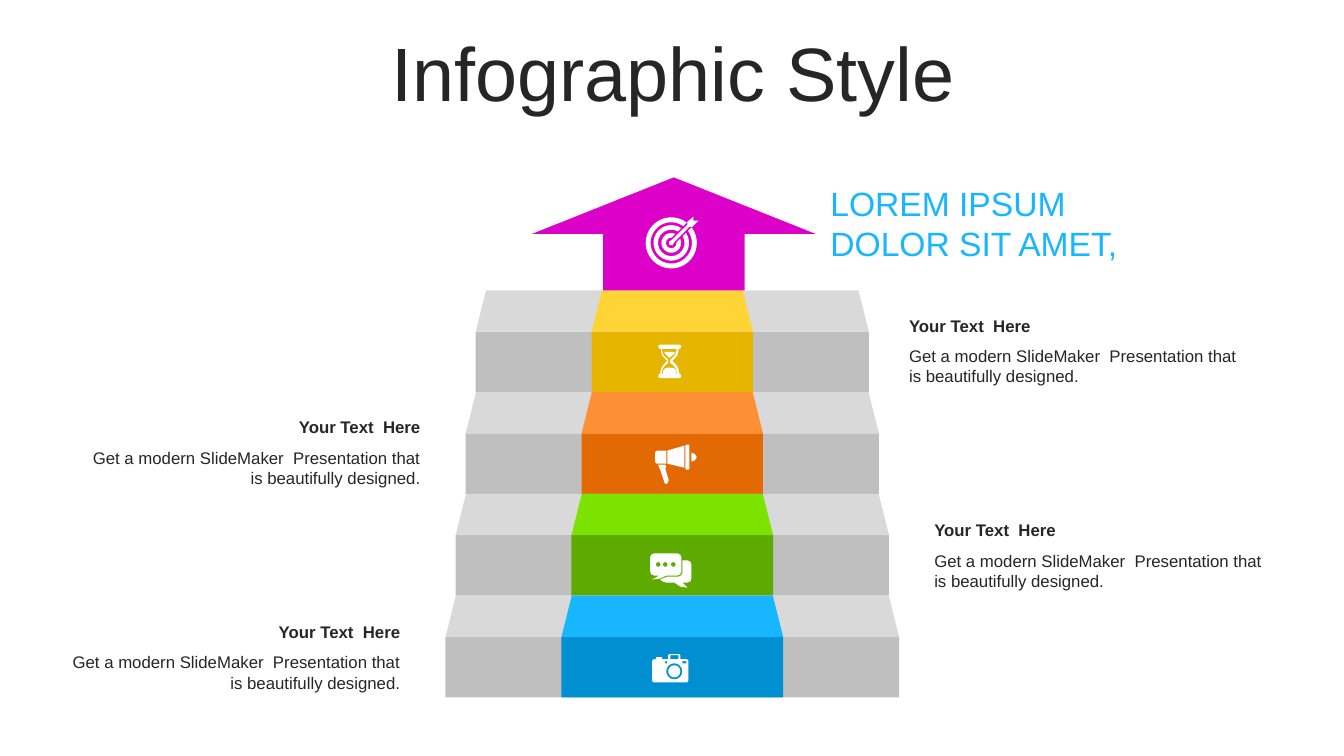
from math import asin, cos, pi, radians, sin, tan

from pptx import Presentation
from pptx.dml.color import RGBColor
from pptx.enum.shapes import MSO_SHAPE
from pptx.enum.text import MSO_ANCHOR, PP_ALIGN
from pptx.oxml.ns import qn
from pptx.util import Emu, Pt

PX = 9144  # 100 px to the inch
FONT = "Arial"
INK, WHITE, SKY = "262626", "FFFFFF", "17B6FF"
SIDE, TREAD = "BFBFBF", "D9D9D9"
BODY = "Get a modern SlideMaker  Presentation that is beautifully designed."

# Top step first: tread colour, front colour
STEPS = [("FFD434", "E6B500"), ("FD9034", "E36902"),
         ("7CE200", "5DAA00"), (SKY, "008FD0")]

LABELS = [(55, 612, PP_ALIGN.RIGHT), (75, 409, PP_ALIGN.RIGHT),
          (917, 511, PP_ALIGN.LEFT), (892, 308, PP_ALIGN.LEFT)]


def px(num):
    return Emu(round(num * PX))


def tint(text):
    return RGBColor.from_string(text)


def paint(shape, color):
    shape.shadow.inherit = False
    shape.fill.solid()
    shape.fill.fore_color.rgb = tint(color)
    shape.line.fill.background()


def block(slide, kind, box, color):
    paint(slide.shapes.add_shape(kind, *map(px, box)), color)


def write(slide, box, lines, size, color=INK, bold=False,
          align=PP_ALIGN.LEFT, anchor=MSO_ANCHOR.TOP, space=1.0):
    frame = slide.shapes.add_textbox(*map(px, box)).text_frame
    frame.word_wrap = True
    frame.vertical_anchor = anchor
    for i, line in enumerate(lines):
        para = frame.add_paragraph() if i else frame.paragraphs[0]
        para.alignment = align
        para.line_spacing = space
        run = para.add_run()
        run.text = line
        run.font.name = FONT
        run.font.size = Pt(size)
        run.font.bold = bold
        run.font.color.rgb = tint(color)


def arc(x, y, r, half=0.0, back=False):
    """Four curves round a centre, with a gap of twice half at the upper right."""
    start, step = half - pi / 4, (pi - half) / 2
    if back:
        start, step = -half - pi / 4, -step
    pull = 4 / 3 * tan(step / 4)

    def spot(t, lean=0.0):
        return x + r * (cos(t) - lean * sin(t)), y + r * (sin(t) + lean * cos(t))

    turns = [start + step * i for i in range(5)]
    return [[spot(start)]] + [[spot(a, pull), spot(b, -pull), spot(b)]
                              for a, b in zip(turns, turns[1:])]


def band(x, y, outer, inner, slit=3.3):
    """Ring with a slit of constant width for the arrow."""
    return (arc(x, y, outer, asin(slit / outer))
            + arc(x, y, inner, asin(slit / inner), back=True))


def bend(*corners):
    """Polygon whose corners (x, y, radius) are rounded where a radius is given."""
    path = []
    for i, (x, y, *rest) in enumerate(corners):
        if not rest:
            path.append([(x, y)])
            continue
        ends, pulls = [], []
        for near in (corners[i - 1], corners[(i + 1) % len(corners)]):
            dx, dy = near[0] - x, near[1] - y
            part = min(0.5, rest[0] / (dx * dx + dy * dy) ** 0.5)
            ends.append((x + dx * part, y + dy * part))
            pulls.append((x + dx * part * 0.45, y + dy * part * 0.45))
        path += [[ends[0]], [*pulls, ends[1]]]
    return path


def rect(x, y, wide, high):
    return bend((x, y), (x + wide, y), (x + wide, y + high), (x, y + high))


def swing(x, y, hub, angle):
    dx, dy, t = x - hub[0], y - hub[1], radians(angle)
    return (hub[0] + dx * cos(t) - dy * sin(t),
            hub[1] + dx * sin(t) + dy * cos(t))


def icon(slide, *paths, hub=(0, 0), turn=0):
    """One white shape; a path inside another makes a hole."""
    pen, curves, count = None, [], 0
    hub = px(hub[0]), px(hub[1])
    for path in paths:
        spots = []
        for part in path:
            if len(part) == 3:
                curves.append(count + len(spots) - 1)
            spots += [swing(px(x), px(y), hub, -turn) for x, y in part]
        if pen is None:
            pen = slide.shapes.build_freeform(*spots[0], scale=1.0)
        else:
            pen.move_to(*spots[0])
        pen.add_line_segments(spots[1:], close=True)
        count += len(spots) - 1
    shape = pen.convert_to_shape()
    lines = list(shape.element.iter(qn("a:lnTo")))
    for at in curves:
        lines[at].tag = qn("a:cubicBezTo")
        for line in lines[at + 1:at + 3]:
            lines[at].append(line[0])
            line.getparent().remove(line)
    mid = shape.left + shape.width / 2, shape.top + shape.height / 2
    goal = swing(*mid, hub, turn)
    shape.left += round(goal[0] - mid[0])
    shape.top += round(goal[1] - mid[1])
    shape.rotation = turn
    paint(shape, WHITE)


def target(slide):
    x, y = 666, 241
    arrow = bend((682, 223), (682, 220), (688, 215), (688, 219),
                 (693, 219), (687, 225), (684, 225))
    icon(slide, band(x, y, 25.4, 20.5), band(x, y, 17.6, 13.2),
         band(x, y, 9.8, 5.4), arc(x, y, 2.7, 0.7) + arrow)


def timer(slide):
    icon(slide,
         bend((653, 342, 2), (676, 342, 2), (676, 346, 2), (673, 346),
              (673, 352, 4), (667, 358), (673, 364, 4), (674, 371),
              (676, 371, 2), (676, 375, 2), (653, 375, 2), (653, 371, 2),
              (655, 371), (656, 364, 4), (662, 358), (656, 352, 4),
              (656, 346), (653, 346, 2)),
         bend((657, 346), (671, 346), (671, 351, 3), (665, 357), (665, 360),
              (671, 365, 3), (672, 371), (657, 371), (657, 365, 3),
              (663, 360), (663, 357), (657, 351, 3)),
         bend((658, 371), (658, 366, 2), (664, 364, 4), (671, 366, 2),
              (671, 371)),
         bend((659, 349), (670, 349), (669, 351), (664, 355), (660, 351)),
         hub=(664, 358), turn=313.4)


def horn(slide):
    icon(slide,
         bend((653, 461), (660, 461), (661, 463, 1), (660, 465),
              (664, 478, 2), (660, 481, 2), (655, 466), (654, 464)),
         bend((686, 449), (691, 451, 2), (691, 456, 2), (686, 458)),
         bend((650, 447, 2), (661, 447), (661, 460), (650, 460, 2)),
         bend((679, 442), (679, 464), (662, 460), (662, 447)),
         bend((680, 441, 1), (684, 441, 1), (684, 466, 1), (680, 466, 1)),
         hub=(670, 460), turn=165)


def chat(slide):
    dots = [arc(x, 560, 2.4) for x in (653, 660, 668)]
    icon(slide, *dots,
         bend((677, 556), (686, 556, 4), (686, 578, 4), (677, 578),
              (682, 583), (675, 582), (669, 578), (659, 578, 2), (655, 575),
              (662, 572), (677, 572, 4)),
         bend((645, 549, 4), (676, 549, 4), (676, 571, 4), (661, 571),
              (655, 574), (647, 575), (654, 571), (645, 571, 4)))


def camera(slide):
    icon(slide,
         bend((647, 654, 2), (651, 654), (651, 652), (657, 652), (657, 654),
              (663, 654), (663, 649, 1), (675, 649, 1), (675, 654),
              (683, 654, 2), (683, 677, 2), (647, 677, 2)),
         arc(669, 666, 8), arc(669, 666, 6), rect(665, 650, 8, 4),
         rect(660, 656, 2, 2), rect(677, 656, 4, 2))


def stairs(slide):
    for i, (top, front) in enumerate(STEPS):
        y, grow = 288 + 101 * i, 10 * i
        for x, wide, tread, face in ((472, 390, TREAD, SIDE),
                                     (587, 160, top, front)):
            left, span = x - grow, wide + 2 * grow
            block(slide, MSO_SHAPE.RECTANGLE, (left, y + 41, span, 60), face)
            block(slide, MSO_SHAPE.TRAPEZOID, (left, y, span, 41), tread)


def label(slide, x, y, align):
    write(slide, (x, y + 30, 352, 50), [BODY], 12, align=align)
    write(slide, (x, y, 352, 30), ["Your Text  Here"], 12, bold=True, align=align)


def main():
    deck = Presentation()
    deck.slide_width, deck.slide_height = px(750) * 16 // 9, px(750)
    slide = deck.slides.add_slide(deck.slide_layouts[6])
    write(slide, (35, 37, 1266, 79), ["Infographic Style"], 54,
          align=PP_ALIGN.CENTER, anchor=MSO_ANCHOR.MIDDLE, space=0.9)
    stairs(slide)
    block(slide, MSO_SHAPE.UP_ARROW, (528, 176, 281, 112), "DC00C8")
    for draw in (chat, timer, horn, camera, target):
        draw(slide)
    for spot in LABELS:
        label(slide, *spot)
    write(slide, (814, 176, 390, 91), ["LOREM IPSUM", "DOLOR SIT AMET,"], 24,
          color=SKY, anchor=MSO_ANCHOR.MIDDLE)
    deck.save("out.pptx")


if __name__ == "__main__":
    main()
